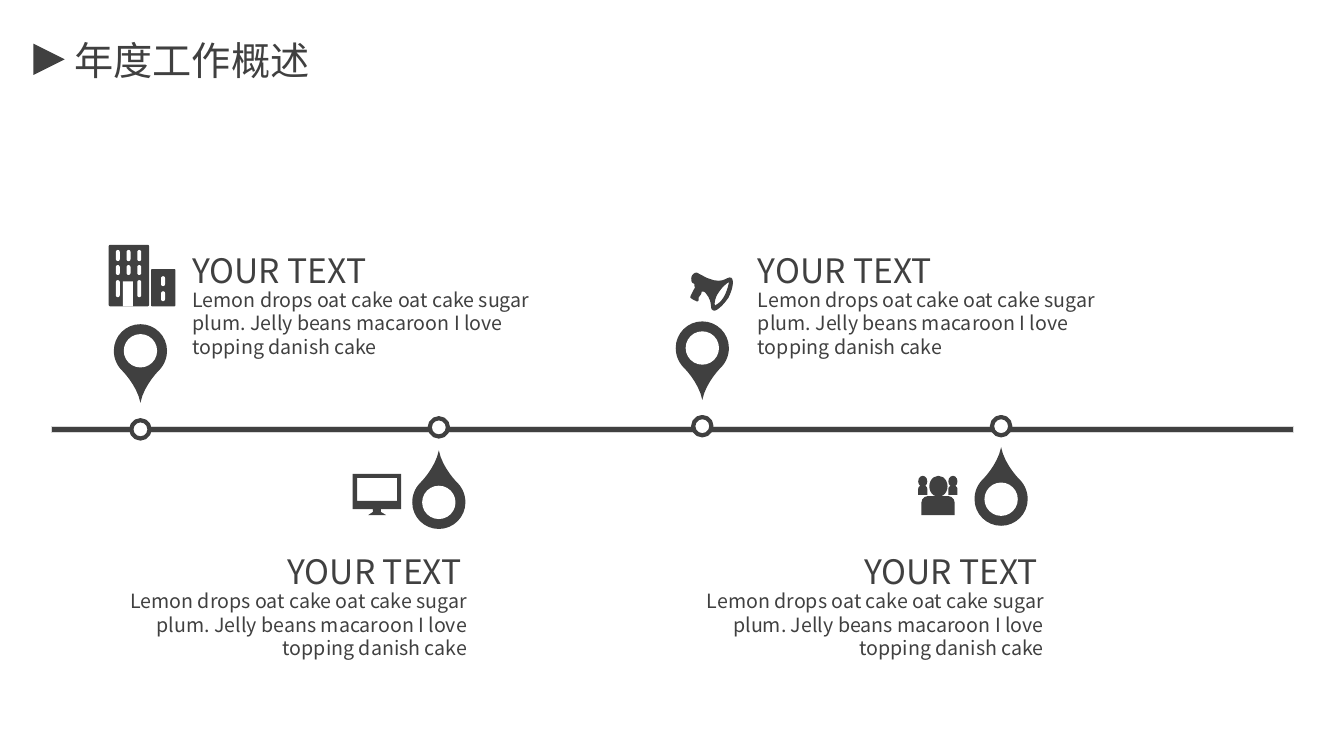
from pptx import Presentation
from pptx.dml.color import RGBColor
from pptx.enum.shapes import MSO_SHAPE
from pptx.enum.text import PP_ALIGN
from pptx.util import Cm, Pt

TRIANGLE = MSO_SHAPE.ISOSCELES_TRIANGLE
RECTANGLE = MSO_SHAPE.RECTANGLE
ROUNDED = MSO_SHAPE.ROUNDED_RECTANGLE
ROUND_TOP = MSO_SHAPE.ROUND_2_SAME_RECTANGLE
ELLIPSE = MSO_SHAPE.OVAL
LEFT, RIGHT = PP_ALIGN.LEFT, PP_ALIGN.RIGHT
DARK, WHITE, PALE = "404040", "FFFFFF", "D9D9D9"
FONT = "Noto Sans CJK SC"
DESCRIPTION = ("Lemon drops oat cake oat cake sugar plum. "
               "Jelly beans macaroon I love topping danish cake")


def color(hex_text):
    return RGBColor.from_string(hex_text)


def add_text(text, left, top, width, height, size, align=LEFT, line_spacing=None):
    box = slide.shapes.add_textbox(Cm(left), Cm(top), Cm(width), Cm(height))
    frame = box.text_frame
    frame.word_wrap = True
    frame.margin_left = frame.margin_right = frame.margin_top = frame.margin_bottom = 0
    paragraph = frame.paragraphs[0]
    paragraph.alignment = align
    paragraph.line_spacing = line_spacing
    run = paragraph.add_run()
    run.text = text
    run.font.size = Pt(size)
    run.font.name = FONT
    run.font.color.rgb = color(DARK)
    properties = run.font._element
    east_asian = properties.makeelement(
        "{http://schemas.openxmlformats.org/drawingml/2006/main}ea", {"typeface": FONT})
    properties.append(east_asian)


presentation = Presentation()
presentation.slide_width = Cm(33.87)
presentation.slide_height = Cm(19.05)
slide = presentation.slides.add_slide(presentation.slide_layouts[6])

background = slide.background.fill
background.gradient()
background.gradient_angle = 270
for stop, position, shade in zip(background.gradient_stops, (0.41, 1), (WHITE, "FCFDFF")):
    stop.position = position
    stop.color.rgb = color(shade)

# Each milestone: dot centre, pin centre, pin direction.
milestones = [
    (3.54, 10.82, 8.84, 1),
    (11.06, 10.77, 12.66, -1),
    (17.7, 10.74, 8.77, 1),
    (25.23, 10.74, 12.58, -1),
]

pin_curves = [
    [(0.67, 0)],
    [(0.67, -0.37), (0.37, -0.67), (0, -0.67)],
    [(-0.37, -0.67), (-0.67, -0.37), (-0.67, 0)],
    [(-0.67, 0.18), (-0.6, 0.35), (-0.49, 0.47)],
    [(-0.49, 0.47), (-0.09, 0.85), (0, 1.31)],
    [(0.09, 0.85), (0.49, 0.47), (0.49, 0.47)],
    [(0.6, 0.35), (0.67, 0.18), (0.67, 0)],
]
monitor_frame = [[point] for point in [
    (8.89, 11.94), (10.11, 11.94), (10.11, 12.83), (9.6, 12.83), (9.6, 12.9),
    (9.73, 12.98), (9.28, 12.98), (9.4, 12.9), (9.4, 12.83), (8.89, 12.83)]]
monitor_screen = [[point] for point in [
    (9, 12.04), (10.01, 12.04), (10.01, 12.62), (9, 12.62)]]
megaphone_body = [
    [(18.42, 7.26)],
    [(18.42, 7.03), (18.36, 6.81), (18.26, 6.78)],
    [(18.11, 6.78), (18.21, 7.11), (17.48, 7.06)],
    [(17.4, 7.04), (17.35, 7.11), (17.35, 7.19)],
    [(17.35, 7.24), (17.4, 7.34), (17.45, 7.34)],
    [(17.5, 7.34)],
    [(17.53, 7.42), (17.58, 7.42), (17.55, 7.44)],
    [(17.55, 7.49), (17.55, 7.59), (17.55, 7.62)],
    [(17.55, 7.65), (17.55, 7.7), (17.58, 7.7)],
    [(17.6, 7.7), (17.7, 7.72), (17.73, 7.7)],
    [(17.75, 7.72), (17.78, 7.7), (17.78, 7.67)],
    [(17.78, 7.65), (17.75, 7.62), (17.75, 7.59)],
    [(17.75, 7.57), (17.78, 7.47), (17.75, 7.44)],
    [(17.75, 7.42), (17.81, 7.39), (17.86, 7.42)],
    [(18.14, 7.54), (18.11, 7.72), (18.21, 7.72)],
    [(18.29, 7.75), (18.39, 7.52), (18.42, 7.26)],
]
megaphone_mouth = [
    [(18.21, 7.59)],
    [(18.19, 7.59), (18.11, 7.44), (18.14, 7.26)],
    [(18.16, 7.06), (18.24, 6.91), (18.26, 6.91)],
    [(18.26, 6.93), (18.31, 7.09), (18.31, 7.26)],
    [(18.31, 7.47), (18.21, 7.57), (18.21, 7.59)],
]

outlines = [([monitor_frame, monitor_screen], 0),
            ([megaphone_body, megaphone_mouth], 26.9)]
presets = [
    (TRIANGLE, 0.84, 1.1, 0.79, 0.79, DARK, None),
    (RECTANGLE, 1.3, 10.74, 31.29, 0.15, DARK, (PALE, 0.5)),
    (ROUNDED, 2.74, 6.17, 1.02, 1.55, DARK, None),
    (ROUNDED, 3.81, 6.78, 0.61, 0.94, DARK, None),
    (RECTANGLE, 3.1, 7.09, 0.25, 0.63, WHITE, None),
    (ELLIPSE, 23.42, 11.99, 0.46, 0.53, DARK, None),
    (ROUND_TOP, 23.22, 12.5, 0.84, 0.48, DARK, None),
]
for x, dot_y, pin_y, direction in milestones:
    pin = [[(x + dx, pin_y + direction * dy) for dx, dy in curve] for curve in pin_curves]
    outlines.append(([pin], 0))
    presets.append((ELLIPSE, x - 0.23, dot_y - 0.23, 0.46, 0.46, WHITE, (DARK, 3)))
    presets.append((ELLIPSE, x - 0.42, pin_y - 0.42, 0.84, 0.84, WHITE, None))
for column in range(3):
    window_rows = [(6.3, 0.28), (6.68, 0.25)] + [(7.06, 0.43)] * (column != 1)
    for top, height in window_rows:
        presets.append((ROUNDED, 2.92 + 0.27 * column, top, 0.1, height, WHITE, None))
for top in (6.96, 7.34):
    presets.append((ROUNDED, 4.06, top, 0.1, 0.25, WHITE, None))
for left in (23.14, 23.9):
    presets.append((ELLIPSE, left, 11.99, 0.23, 0.28, DARK, None))
    presets.append((ROUND_TOP, left, 12.24, 0.23, 0.23, DARK, None))

painted = []
for contours, rotation in outlines:
    builder = None
    for contour in contours:
        points = [contour[0][0]]
        for curve in contour[1:]:
            if len(curve) == 1:
                points.append(curve[0])
                continue
            corners = [points[-1]] + curve
            for step in range(1, 9):
                t = step / 8
                weights = ((1 - t) ** 3, 3 * t * (1 - t) ** 2, 3 * t * t * (1 - t), t ** 3)
                points.append(tuple(sum(w * corner[axis] for w, corner in zip(weights, corners))
                                    for axis in (0, 1)))
        points = [(Cm(x), Cm(y)) for x, y in points]
        if builder is None:
            builder = slide.shapes.build_freeform(*points[0])
        else:
            builder.move_to(*points[0])
        builder.add_line_segments(points[1:], close=True)
    shape = builder.convert_to_shape()
    shape.rotation = rotation
    painted.append((shape, DARK, None))

for kind, left, top, width, height, fill, line in presets:
    shape = slide.shapes.add_shape(kind, Cm(left), Cm(top), Cm(width), Cm(height))
    if kind == TRIANGLE:
        shape.rotation = 90
    if kind == ROUNDED:
        shape.adjustments[0] = 0.5 if fill == WHITE else 0.04
    if kind == ROUND_TOP:
        shape.adjustments[0] = 0.35
    painted.append((shape, fill, line))

for shape, fill, line in painted:
    shape.shadow.inherit = False
    shape.fill.solid()
    shape.fill.fore_color.rgb = color(fill)
    if line:
        shape.line.color.rgb = color(line[0])
        shape.line.width = Pt(line[1])
    else:
        shape.line.fill.background()

add_text("年度工作概述", 1.88, 0.91, 9.2, 1.2, 28)
for left, top, align, indent in [(4.85, 6.3, LEFT, 0), (19.1, 6.3, LEFT, 0),
                                 (2.18, 13.89, RIGHT, 0.15), (16.71, 13.89, RIGHT, 0.15)]:
    add_text("YOUR TEXT", left - indent, top, 9.6, 0.96, 24, align=align)
    add_text(DESCRIPTION, left, top + 0.95, 9.6, 2.11, 14, align=align, line_spacing=Pt(16.8))

presentation.save("out.pptx")
